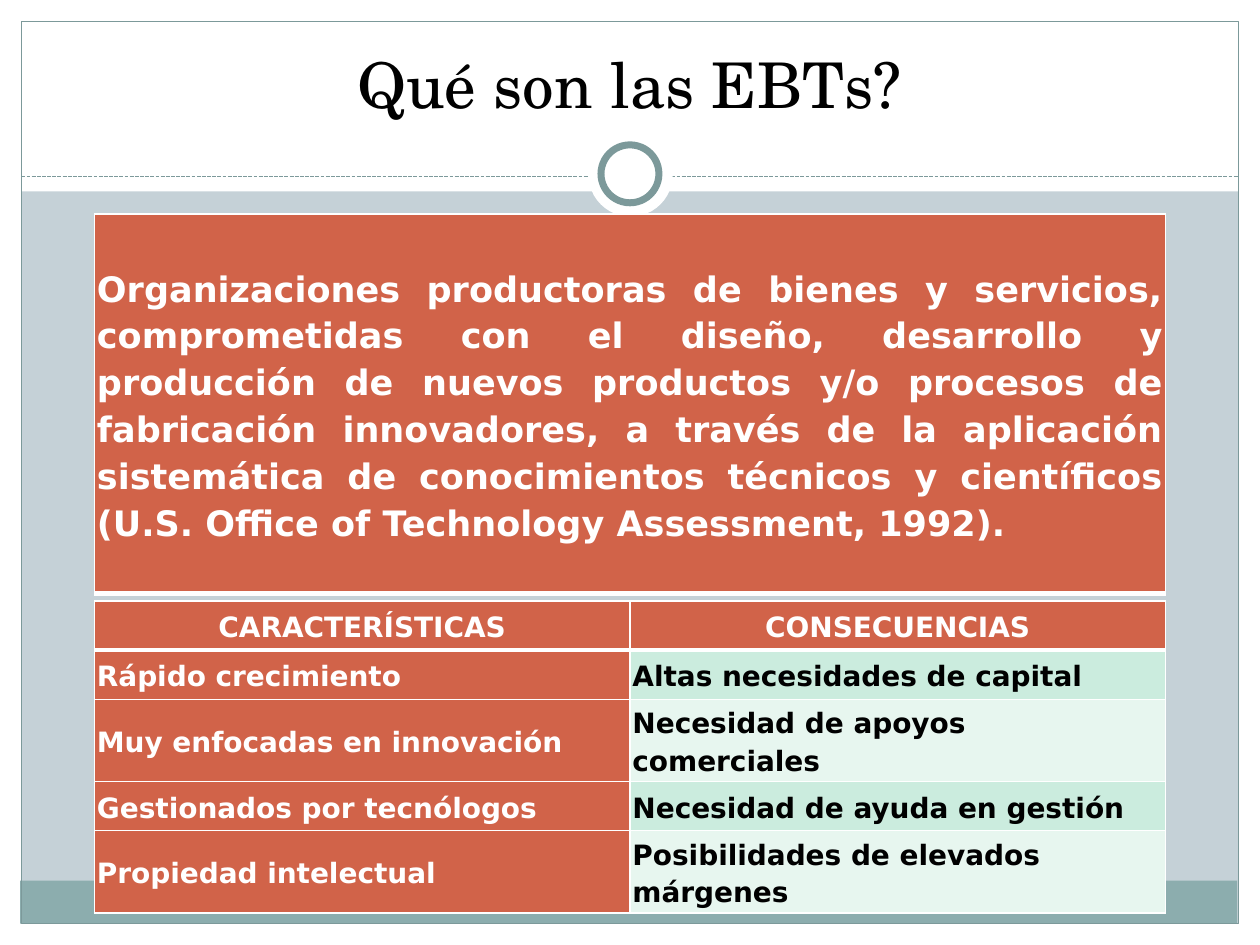
from dataclasses import dataclass

from lxml import etree
from pptx import Presentation
from pptx import util as u
from pptx.dml.color import RGBColor
from pptx.enum import dml, shapes, text
from pptx.oxml import ns


@dataclass(frozen=True)
class Theme:
    white: str = "FFFFFF"
    ink: str = "000000"
    backdrop: str = "C5D1D7"
    rule: str = "7C999A"
    footer: str = "8CADAE"
    accent: str = "D16349"
    mint: str = "CBECDE"
    pale_mint: str = "E7F6EF"
    title_font: str = "TeX Gyre Schola"
    body_font: str = "DejaVu Sans"
    title_size: int = 36
    definition_size: int = 20
    grid_size: int = 16
    hairline: float = 0.75
    ring_line: float = 4
    border: int = 1
    heavy_border: int = 3
    cell_inset: float = 0.02
    line_spacing: float = 1.15


class Composer:
    def __init__(self, slide, theme):
        self.slide = slide
        self.theme = theme

    def background(self, color):
        self.paint(self.slide.background.fill, color)

    def paint(self, fill, color):
        fill.solid()
        fill.fore_color.rgb = RGBColor.from_string(color)

    def shape(self, box, fill=None, line=None, width=0, kind=shapes.MSO_SHAPE.RECTANGLE):
        form = self.slide.shapes.add_shape(kind, *map(u.Inches, box))
        form.shadow.inherit = False
        if fill:
            self.paint(form.fill, fill)
        else:
            form.fill.background()
        if line:
            self.paint(form.line.fill, line)
            form.line.width = u.Pt(width)
        else:
            form.line.fill.background()

    def dashed_rule(self, left, right, y):
        rule = self.slide.shapes.add_connector(
            shapes.MSO_CONNECTOR.STRAIGHT, *map(u.Inches, (left, y, right, y)))
        self.paint(rule.line.fill, self.theme.rule)
        rule.line.width = u.Pt(self.theme.hairline)
        rule.line.dash_style = dml.MSO_LINE.SQUARE_DOT
        etree.SubElement(rule._element.spPr, ns.qn("a:effectLst"))

    def add_words(self, frame, words, font, size, color, align, bold=False):
        paragraph = frame.paragraphs[0]
        paragraph.alignment = align
        run = paragraph.add_run()
        run.text = words
        run.font.name = font
        run.font.size = u.Pt(size)
        run.font.bold = bold
        run.font.color.rgb = RGBColor.from_string(color)
        return paragraph

    def title(self, words, box):
        heading = self.slide.shapes.add_textbox(*map(u.Inches, box)).text_frame
        heading.word_wrap = True
        heading.vertical_anchor = text.MSO_ANCHOR.MIDDLE
        self.add_words(heading, words, self.theme.title_font, self.theme.title_size,
                       self.theme.ink, text.PP_ALIGN.CENTER)

    def table(self, left, top, widths, heights):
        frame = self.slide.shapes.add_table(
            len(heights), len(widths),
            *map(u.Inches, (left, top, sum(widths), sum(heights))))
        grid = frame.table
        grid.first_row = grid.horz_banding = False
        for column, width in zip(grid.columns, widths):
            column.width = u.Inches(width)
        for row, height in zip(grid.rows, heights):
            row.height = u.Inches(height)
        return grid

    def cell(self, cell, words, size, fill, color, align, heavy=""):
        theme = self.theme
        cell.vertical_anchor = text.MSO_ANCHOR.MIDDLE
        cell.margin_left = cell.margin_right = u.Inches(theme.cell_inset)
        cell.margin_top = cell.margin_bottom = u.Inches(theme.cell_inset)
        self.paint(cell.fill, fill)
        self.borders(cell, heavy)
        paragraph = self.add_words(cell.text_frame, words, theme.body_font, size,
                                   color, align, bold=True)
        paragraph.line_spacing = theme.line_spacing

    def borders(self, cell, heavy):
        properties = cell._tc.get_or_add_tcPr()
        for position, side in enumerate("LRTB"):
            points = self.theme.heavy_border if side in heavy else self.theme.border
            edge = etree.Element(ns.qn(f"a:ln{side}"), w=str(u.Pt(points)))
            solid = etree.SubElement(edge, ns.qn("a:solidFill"))
            etree.SubElement(solid, ns.qn("a:srgbClr"), val=self.theme.white)
            properties.insert(position, edge)


DEFINITION = (
    "Organizaciones productoras de bienes y servicios, comprometidas con el diseño, "
    "desarrollo y producción de nuevos productos y/o procesos de fabricación "
    "innovadores, a través de la aplicación sistemática de conocimientos técnicos y "
    "científicos (U.S. Office of Technology Assessment, 1992).")

TRAITS = [
    ("CARACTERÍSTICAS", "CONSECUENCIAS"),
    ("Rápido crecimiento", "Altas necesidades de capital"),
    ("Muy enfocadas en innovación", "Necesidad de apoyos comerciales"),
    ("Gestionados por tecnólogos", "Necesidad de ayuda en gestión"),
    ("Propiedad intelectual", "Posibilidades de elevados márgenes"),
]


def draw_frame(composer):
    theme = composer.theme
    oval = shapes.MSO_SHAPE.OVAL
    composer.background(theme.backdrop)
    composer.shape((0, 0, 10, 1.52), theme.white)
    composer.dashed_rule(0.17, 9.83, 1.4)
    composer.shape((4.67, 1.05, 0.67, 0.67), theme.white, kind=oval)
    composer.shape((4.77, 1.15, 0.46, 0.46), theme.white, theme.rule,
                   theme.ring_line, oval)
    for margin in ((0, 7.33, 10, 0.17), (0, 0, 10, 0.17),
                   (9.83, 0, 0.17, 7.5), (0, 0, 0.17, 7.5)):
        composer.shape(margin, theme.white)
    composer.shape((0.16, 6.99, 9.66, 0.34), theme.footer)
    composer.shape((0.17, 0.17, 9.66, 7.16), line=theme.rule, width=theme.hairline)


def draw_definition(composer):
    theme = composer.theme
    definition = composer.table(0.75, 1.7, [8.5], [3.01])
    composer.cell(definition.cell(0, 0), DEFINITION, theme.definition_size,
                  theme.accent, theme.white, text.PP_ALIGN.JUSTIFY, heavy="B")


def draw_traits(composer):
    theme = composer.theme
    traits = composer.table(0.75, 4.77, [4.25] * 2, [0.39] * 4 + [0.65])
    heavy_sides = {0: "B", 1: "T"}
    for row, pair in enumerate(TRAITS):
        for column, words in enumerate(pair):
            fill, color = theme.accent, theme.white
            if row and column:
                fill = theme.mint if row % 2 else theme.pale_mint
                color = theme.ink
            align = text.PP_ALIGN.LEFT if row else text.PP_ALIGN.CENTER
            composer.cell(traits.cell(row, column), words, theme.grid_size, fill,
                          color, align, heavy_sides.get(row, ""))


def main():
    deck = Presentation()
    deck.slide_width, deck.slide_height = u.Inches(10), u.Inches(7.5)
    composer = Composer(deck.slides.add_slide(deck.slide_layouts[6]), Theme())
    draw_frame(composer)
    composer.title("Qué son las EBTs?", (0.33, 0.25, 9.33, 0.83))
    draw_definition(composer)
    draw_traits(composer)
    deck.save("out.pptx")


if __name__ == "__main__":
    main()
